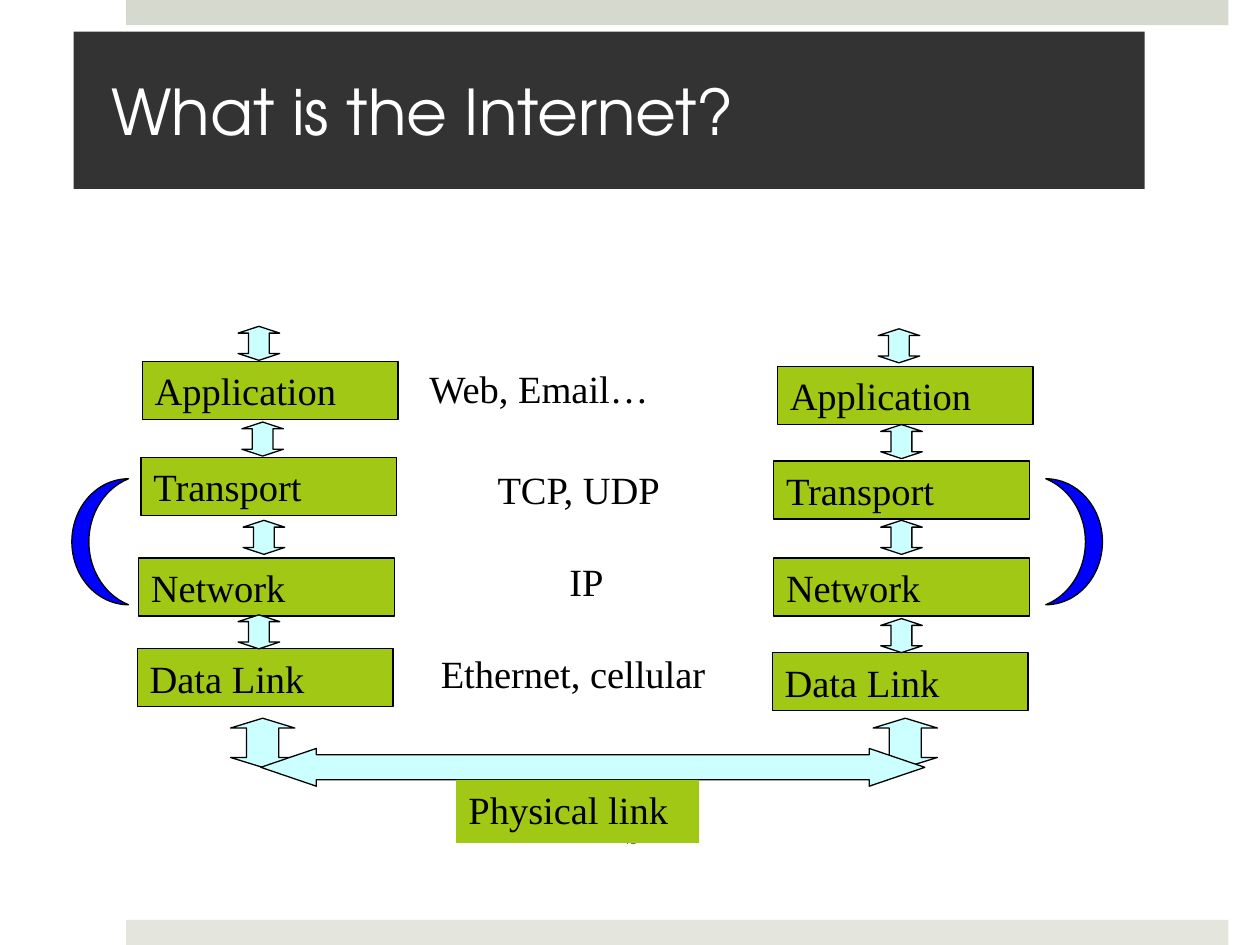
from lxml import etree
from pptx import Presentation
from pptx.dml.color import RGBColor
from pptx.enum.shapes import MSO_SHAPE as SHAPE
from pptx.enum.text import MSO_ANCHOR as ANCHOR, MSO_AUTO_SIZE as FIT, PP_ALIGN as ALIGN
from pptx.oxml.ns import qn
from pptx.util import Inches, Pt

prs = Presentation()
prs.slide_width, prs.slide_height = Inches(10), Inches(7.5)
COL, ROW = prs.slide_width / 100, prs.slide_height / 75
s = prs.slides.add_slide(prs.slide_layouts[5])
rgb = RGBColor.from_string
SANS, SERIF = "TeX Gyre Adventor", "Times New Roman"
GREEN, CYAN, BLUE = "A2C816", "CCFFFF", "0000FF"


def add(kind, x, y, w, h, fill=None, line=None, adj=None):
    at = int(x * COL), int(y * ROW), int(w * COL), int(h * ROW)
    if kind is None:
        return s.shapes.add_textbox(*at)
    sp = s.shapes.add_shape(kind, *at)
    sp.shadow.inherit = False
    sp.fill.solid()
    sp.fill.fore_color.rgb = rgb(fill)
    if line:
        sp.line.color.rgb = rgb(line)
        sp.line.width = Pt(0.75)
    else:
        sp.line.fill.background()
    if adj:
        guides = sp._element.spPr.find(qn("a:prstGeom")).get_or_add_avLst()
        for guide in list(guides):
            guides.remove(guide)
        for name, value in adj.items():
            etree.SubElement(guides, qn("a:gd"), name=name, fmla=f"val {round(value * 100000)}")
    return sp


def write(sp, text, size=22, font=SERIF, color="000000", anchor=ANCHOR.MIDDLE,
          align=ALIGN.LEFT, wrap=True):
    tf = sp.text_frame
    tf.word_wrap = wrap
    tf.auto_size = FIT.NONE
    tf.vertical_anchor = anchor
    p = tf.paragraphs[0]
    p.alignment = align
    r = p.add_run()
    r.text = text
    r.font.size = Pt(size)
    r.font.name = font
    r.font.color.rgb = rgb(color)


add(SHAPE.RECTANGLE, 10, 0, 87.5, 2, "D6D9CD")
add(SHAPE.RECTANGLE, 10, 73, 87.5, 2, "E4E6DE")
write(add(None, 38.3, 64, 23.3, 5.2), "40", 8, SANS, "595959", align=ALIGN.CENTER)

title = s.shapes.title
title.left, title.top = int(5.85 * COL), int(2.5 * ROW)
title.width, title.height = int(85 * COL), int(12.5 * ROW)
title.fill.solid()
title.fill.fore_color.rgb = rgb("333333")
title.text_frame.margin_left = title.text_frame.margin_right = int(3 * COL)
write(title, "What is the Internet?", 36, SANS, "FFFFFF")

layers = ["Application", "Transport", "Network", "Data Link"]
stacks = [
    [(11.3, 28.7, 18.9, 25.9), (11.2, 36.3, 19.2, 33.5),
     (11, 44.3, 19.3, 41.3), (10.9, 51.5, 18.9, 48.8)],
    [(61.7, 29.1, 69.7, 26.1), (61.4, 36.6, 69.9, 33.7),
     (61.4, 44.3, 69.9, 41.3), (61.3, 51.8, 69.9, 49.1)],
]
upright = {"adj1": 0.5, "adj2": 0.2}
for stack, foot in zip(stacks, (18.3, 69.3)):
    for layer, (x, y, arrow_x, arrow_y) in zip(layers, stack):
        write(add(SHAPE.RECTANGLE, x, y, 20.3, 4.6, GREEN, "000000"), layer)
        add(SHAPE.UP_DOWN_ARROW, arrow_x, arrow_y, 3.3, 2.7, CYAN, "000000", upright)
    add(SHAPE.UP_DOWN_ARROW, foot, 57, 5.1, 3.9, CYAN, "000000", upright)

add(SHAPE.LEFT_RIGHT_ARROW, 20.7, 59.4, 52.7, 3, CYAN, "000000", {"adj1": 0.66, "adj2": 1.47})
write(add(SHAPE.RECTANGLE, 36.2, 61.9, 19.3, 5, GREEN), "Physical link", anchor=ANCHOR.TOP)

for text, x, y, w in [("Web, Email…", 33.1, 28.5, 28.9), ("TCP, UDP", 38.5, 36.5, 16.5),
                      ("IP", 44.2, 43.8, 5), ("Ethernet, cellular", 34, 51.1, 25.7)]:
    write(add(None, x, y, w, 5), text, anchor=ANCHOR.TOP, wrap=False)

for x, flip in ((5.7, "0"), (83, "1")):
    moon = add(SHAPE.MOON, x, 38, 4.5, 10, BLUE, "000000", {"adj": 0.3})
    moon._element.spPr.xfrm.set("flipH", flip)

prs.save("out.pptx")
